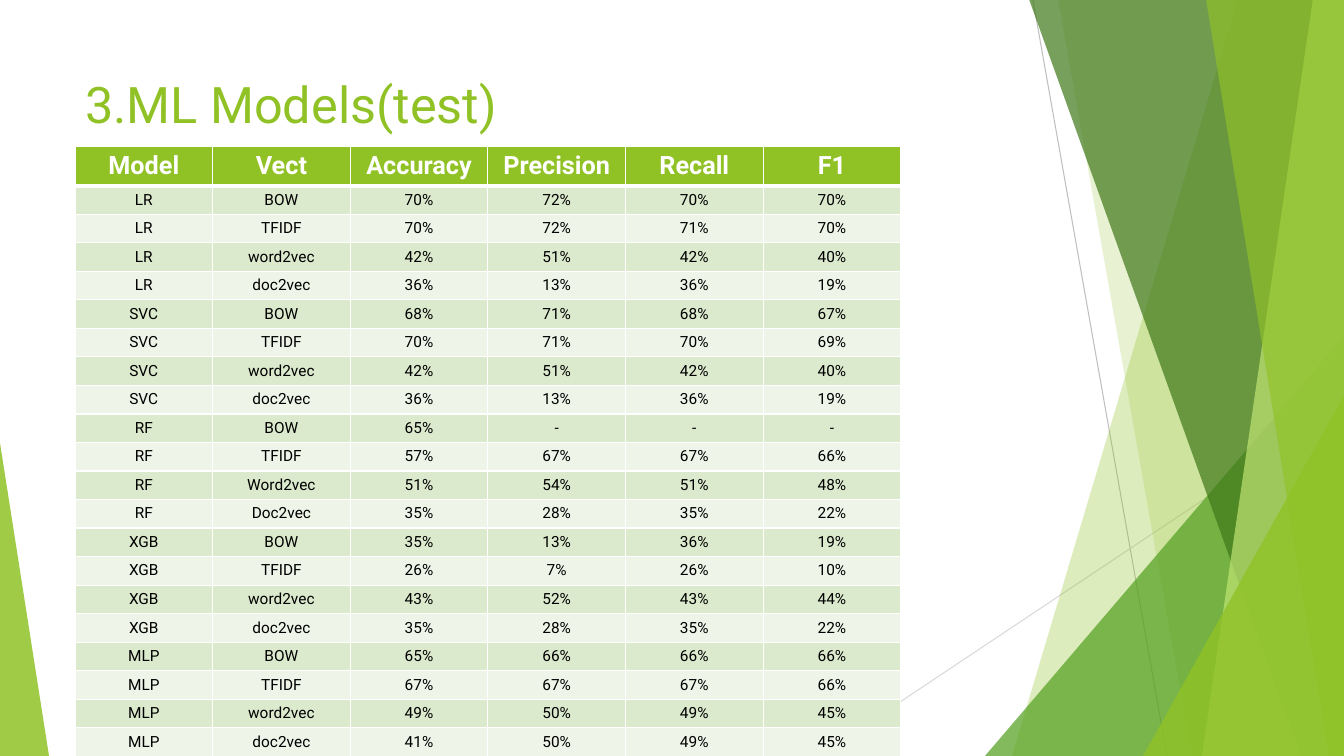
from pptx import Presentation
from pptx.dml.color import RGBColor
from pptx.enum.shapes import MSO_CONNECTOR, MSO_SHAPE
from pptx.enum.text import MSO_ANCHOR, MSO_AUTO_SIZE, PP_ALIGN
from pptx.oxml import parse_xml
from pptx.oxml.ns import nsdecls
from pptx.util import Emu, Pt

SCALE = 12192000 / 1344
FONT = "Roboto"
COLORS = {
    "lime": "90C226", "green": "54A021", "forest": "3F7819", "pale": "C0E474",
    "band_dark": "DBE9CD", "band_light": "EEF4E8", "white": "FFFFFF",
    "black": "000000", "grey": "BFBFBF", "light_grey": "D9D9D9",
}
HEADER = "Model Vect Accuracy Precision Recall F1".split()
RESULTS = [line.split() for line in """\
LR BOW 70% 72% 70% 70%
LR TFIDF 70% 72% 71% 70%
LR word2vec 42% 51% 42% 40%
LR doc2vec 36% 13% 36% 19%
SVC BOW 68% 71% 68% 67%
SVC TFIDF 70% 71% 70% 69%
SVC word2vec 42% 51% 42% 40%
SVC doc2vec 36% 13% 36% 19%
RF BOW 65% - - -
RF TFIDF 57% 67% 67% 66%
RF Word2vec 51% 54% 51% 48%
RF Doc2vec 35% 28% 35% 22%
XGB BOW 35% 13% 36% 19%
XGB TFIDF 26% 7% 26% 10%
XGB word2vec 43% 52% 43% 44%
XGB doc2vec 35% 28% 35% 22%
MLP BOW 65% 66% 66% 66%
MLP TFIDF 67% 67% 67% 66%
MLP word2vec 49% 50% 49% 45%
MLP doc2vec 41% 50% 49% 45%""".splitlines()]


def px(n):
    """Turn pixels into EMU."""
    return Emu(round(n * SCALE))


def rgb(name):
    """Look up a named colour."""
    return RGBColor.from_string(COLORS[name])


def write(tf, text, size, color, align, bold=False):
    """Put one formatted run into a text frame."""
    p = tf.paragraphs[0]
    p.alignment = align
    r = p.add_run()
    r.text = text
    for key, value in {"name": FONT, "size": Pt(size), "bold": bold}.items():
        setattr(r.font, key, value)
    r.font.color.rgb = rgb(color)


def add_title(s, text):
    """Place and fill the title placeholder."""
    title = s.shapes.title
    box = {"left": 75, "top": 68, "width": 948, "height": 145}
    for key, value in box.items():
        setattr(title, key, px(value))
    tf = title.text_frame
    frame = {"word_wrap": True, "auto_size": MSO_AUTO_SIZE.NONE,
             "vertical_anchor": MSO_ANCHOR.TOP}
    for key, value in frame.items():
        setattr(tf, key, value)
    write(tf, text, 36, "lime", PP_ALIGN.LEFT)


def add_line(s, x1, y1, x2, y2, color):
    """Draw a thin line without a shadow."""
    line = s.shapes.add_connector(MSO_CONNECTOR.STRAIGHT,
                                  px(x1), px(y1), px(x2), px(y2))
    line.line.color.rgb = rgb(color)
    line.line.width = Pt(0.75)
    line._element.spPr.append(parse_xml(f"<a:effectLst {nsdecls('a')}/>"))


def paint(sp, color, opacity):
    """Give a shape a translucent fill with no outline or shadow."""
    sp.shadow.inherit = False
    sp.line.fill.background()
    sp.fill.solid()
    sp.fill.fore_color.rgb = rgb(color)
    sp.fill._xPr.solidFill[0].append(
        parse_xml(f'<a:alpha {nsdecls("a")} val="{opacity * 1000}"/>'))


def add_facet(s, top_left, bottom_left, color, opacity):
    """Draw a full-height facet that runs to the right edge."""
    builder = s.shapes.build_freeform(top_left, -1, scale=SCALE)
    builder.add_line_segments([(1344, -1), (1344, 756), (bottom_left, 756)])
    paint(builder.convert_to_shape(), color, opacity)


def add_corner(s, x, y, width, apex, color, opacity):
    """Draw a triangle that stands on the bottom edge."""
    sp = s.shapes.add_shape(MSO_SHAPE.ISOSCELES_TRIANGLE,
                            px(x), px(y), px(width), px(756 - y))
    sp.adjustments[0] = apex
    paint(sp, color, opacity)


def set_borders(cell, top, bottom):
    """Give a cell white borders; widths in points."""
    tcPr = cell._tc.get_or_add_tcPr()
    widths = {"L": 1, "R": 1, "T": top, "B": bottom}
    for i, (side, width) in enumerate(widths.items()):
        tcPr.insert(i, parse_xml(
            f'<a:ln{side} {nsdecls("a")} w="{Pt(width)}"><a:solidFill>'
            f'<a:srgbClr val="{COLORS["white"]}"/></a:solidFill></a:ln{side}>'))


def add_results(s):
    """Build the table of scores with a header and banded rows."""
    rows = [HEADER] + RESULTS
    table = s.shapes.add_table(len(rows), len(HEADER), px(75), px(146),
                               px(826), px(609)).table
    for i, row in enumerate(rows):
        head = i == 0
        table.rows[i].height = px(38) if head else px(571 / len(RESULTS))
        band = "lime" if head else "band_dark" if i % 2 else "band_light"
        for j, text in enumerate(row):
            cell = table.cell(i, j)
            cell.fill.solid()
            cell.fill.fore_color.rgb = rgb(band)
            set_borders(cell, 3 if i == 1 else 1, 3 if head else 1)
            write(cell.text_frame, text, 18 if head else 11,
                  "white" if head else "black", PP_ALIGN.CENTER, head)


def main():
    """Build the slide and save it."""
    prs = Presentation()
    prs.slide_width, prs.slide_height = px(1344), px(756)
    s = prs.slides.add_slide(prs.slide_layouts[5])
    add_line(s, 1033, 0, 1167, 756, "grey")
    add_line(s, 1344, 406, 819, 756, "light_grey")
    add_facet(s, 1238, 1012, "lime", 30)
    add_facet(s, 1058, 1192, "lime", 20)
    add_corner(s, 985, 336, 359, 1, "green", 72)
    add_facet(s, 1029, 1301, "forest", 70)
    add_facet(s, 1313, 1202, "pale", 70)
    add_facet(s, 1206, 1329, "lime", 65)
    add_corner(s, 1143, 396, 201, 1, "lime", 80)
    add_corner(s, 0, 443, 49, 0, "lime", 85)
    add_title(s, "3.ML Models(test)")
    add_results(s)
    prs.save("out.pptx")


main()
